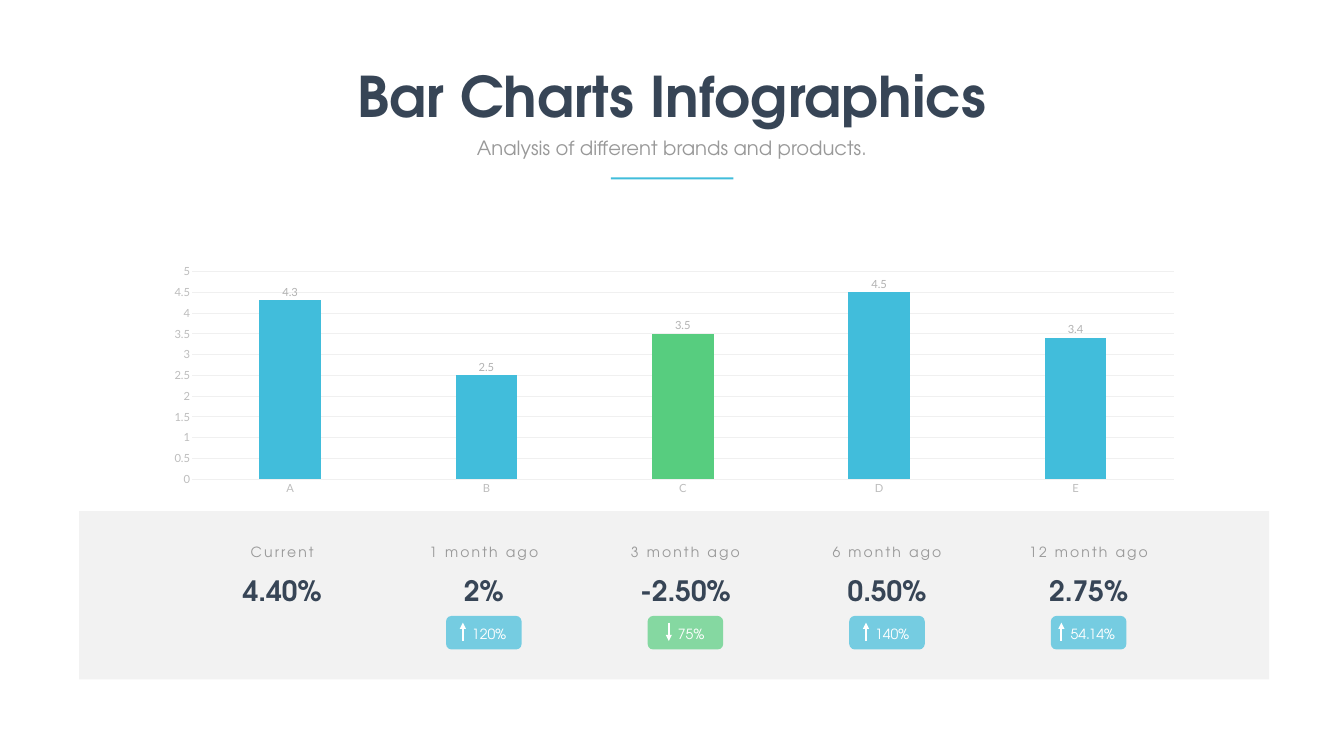
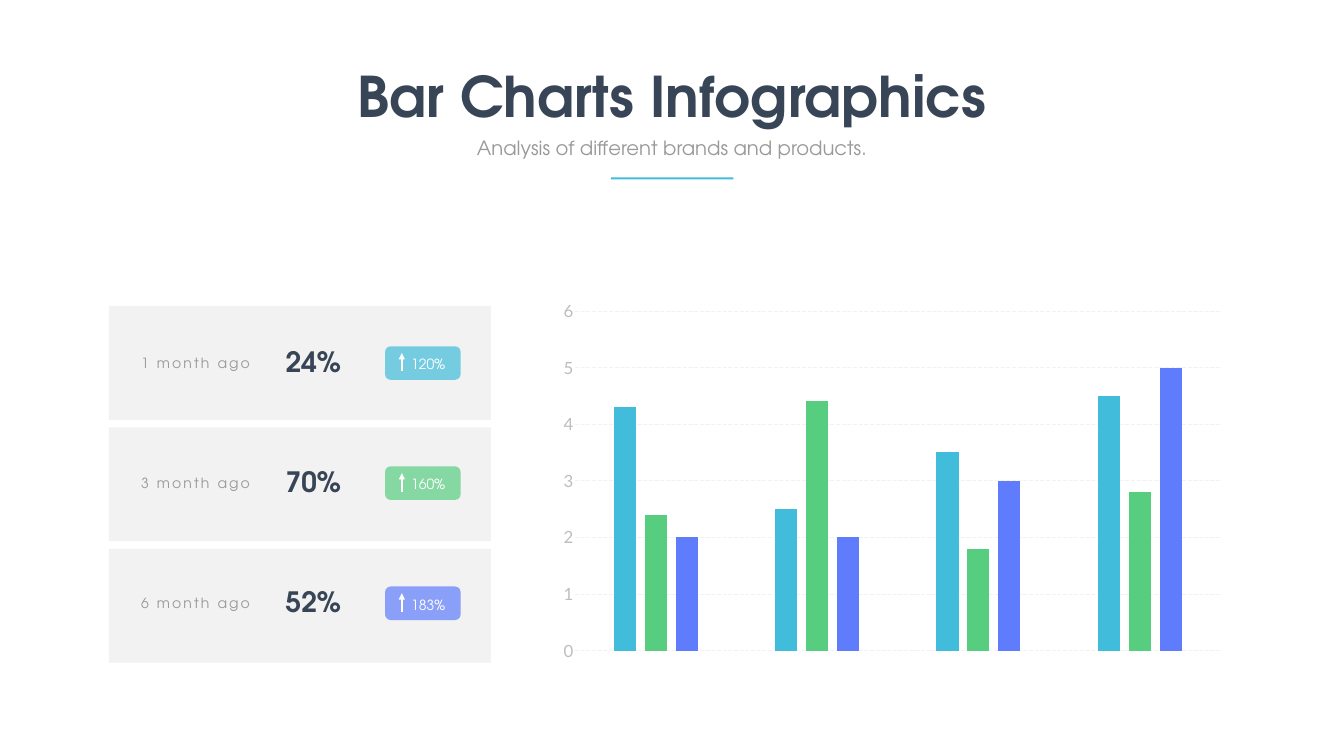
from lxml import etree
from pptx import Presentation
from pptx.chart.data import CategoryChartData
from pptx.dml.color import RGBColor
from pptx.enum.chart import XL_CHART_TYPE, XL_LABEL_POSITION, XL_TICK_MARK
from pptx.enum.dml import MSO_LINE
from pptx.enum.shapes import MSO_CONNECTOR, MSO_SHAPE
from pptx.enum.text import MSO_AUTO_SIZE, PP_ALIGN
from pptx.oxml import parse_xml
from pptx.oxml.ns import nsdecls, qn
from pptx.util import Inches, Pt

COLUMNS = XL_CHART_TYPE.COLUMN_CLUSTERED
OUTSIDE_END = XL_LABEL_POSITION.OUTSIDE_END
NO_TICK = XL_TICK_MARK.NONE
LONG_DASH = MSO_LINE.LONG_DASH
RECT, ROUNDED = MSO_SHAPE.RECTANGLE, MSO_SHAPE.ROUNDED_RECTANGLE
STRAIGHT = MSO_CONNECTOR.STRAIGHT
GROW = MSO_AUTO_SIZE.SHAPE_TO_FIT_TEXT
LEFT, CENTER = PP_ALIGN.LEFT, PP_ALIGN.CENTER

WIDTH, HEIGHT = Inches(26.67), Inches(15)
GRID_COLS, GRID_ROWS = 80, 45
COLORS = {
    "navy": "374556", "gray": "999999", "axis": "BDBDBD", "label": "B2B2B2",
    "panel": "F2F2F2", "rule": "F0F0F0", "white": "FFFFFF",
    "blue": "41BDDB", "green": "57CD7F", "violet": "5E7CFB",
}
TEXT_FONT, CHART_FONT = "TeX Gyre Adventor", "Lato"
BADGE_W, BADGE_H = 4.5, 2
# Arrow inset and text width of a badge, by number of characters
BADGE_FIT = {3: (1.26, 2.34), 4: (1, 2.88), 6: (0.63, 3.57)}


def rgb(name):
    return RGBColor.from_string(COLORS[name])


def style_font(font, size, color, name, bold=False):
    font.size, font.name, font.bold = Pt(size), name, bold
    font.color.rgb = rgb(color)


class Deck:
    """Holds the presentation and draws on its current slide, in grid units."""

    def __init__(self):
        self.prs = Presentation()
        self.prs.slide_width, self.prs.slide_height = WIDTH, HEIGHT
        self.slide = None

    def grid(self, x, y, w, h):
        col, row = WIDTH / GRID_COLS, HEIGHT / GRID_ROWS
        return round(x * col), round(y * row), round(w * col), round(h * row)

    def new_slide(self):
        self.slide = self.prs.slides.add_slide(self.prs.slide_layouts[6])

    def box(self, x, y, w, h, color, kind=RECT, opacity=100, parent=None):
        s = (parent or self.slide).shapes.add_shape(kind, *self.grid(x, y, w, h))
        s.shadow.inherit = False
        s.fill.solid()
        s.fill.fore_color.rgb = rgb(color)
        s.line.fill.background()
        if opacity < 100:
            fill = s.fill._xPr.find(qn("a:solidFill"))
            etree.SubElement(fill[0], qn("a:alpha"), val=str(opacity * 1000))

    def text(self, x, y, w, h, words, size, color, bold=False, align=CENTER,
             spacing=0, wrap=True, parent=None):
        s = (parent or self.slide).shapes.add_textbox(*self.grid(x, y, w, h))
        tf = s.text_frame
        tf.word_wrap, tf.auto_size = wrap, GROW
        p = tf.paragraphs[0]
        p.alignment = align
        r = p.add_run()
        r.text = words
        style_font(r.font, size, color, TEXT_FONT, bold)
        if spacing:
            r.font._element.set("spc", str(spacing * 100))

    def arrow(self, x, start, end, parent):
        left, top, _, bottom = self.grid(x, start, 0, end)
        line = parent.shapes.add_connector(STRAIGHT, left, top, left, bottom)
        line.line.color.rgb = rgb("white")
        line.line.width = Pt(3)
        etree.SubElement(line.line._get_or_add_ln(), qn("a:tailEnd"), type="triangle")
        etree.SubElement(line._element.spPr, qn("a:effectLst"))

    def heading(self):
        self.text(20.76, 3.51, 38.46, 4.35, "Bar Charts Infographics",
                  80, "navy", bold=True, wrap=False)
        self.text(25.65, 7.95, 28.68, 1.71,
                  "Analysis of different brands and products.", 28, "gray")
        self.box(36.36, 10.56, 7.29, 0.12, "blue")

    def period(self, x, y, w, words, align=CENTER):
        self.text(x, y, w, 1.32, words, 20, "gray", align=align, spacing=3)

    def value(self, x, y, w, words, align=CENTER):
        self.text(x, y, w, 2.31, words, 40, "navy", bold=True, align=align)

    def badge(self, x, y, words, color, rising=True):
        """Tinted pill with an arrow and a percentage."""
        inset, width = BADGE_FIT[len(words)]
        group = self.slide.shapes.add_group_shape()
        self.box(x, y, BADGE_W, BADGE_H, color, ROUNDED, 70, group)
        self.text(x + inset + 0.25, y + 0.42, width, 1.32, words, 20, "white",
                  align=LEFT, parent=group)
        low, high = y + 1.5, y + 0.4
        start, end = (low, high) if rising else (high, low)
        self.arrow(x + inset, start, end, group)

    def chart(self, x, y, w, h, categories, series, gap, overlap, top, step,
              size, grid_color):
        """Column chart; series is a list of (values, colour)."""
        data = CategoryChartData()
        data.categories = categories
        for n, (values, _) in enumerate(series, 1):
            data.add_series(f"Series {n}", values)
        chart = self.slide.shapes.add_chart(COLUMNS, *self.grid(x, y, w, h), data).chart
        chart.has_legend = chart.has_title = False
        style_font(chart.font, size, "gray", CHART_FONT)

        plot = chart.plots[0]
        plot.gap_width, plot.overlap, plot.vary_by_categories = gap, overlap, False
        for s, (_, color) in zip(plot.series, series):
            s.format.fill.solid()
            s.format.fill.fore_color.rgb = rgb(color)
            s.invert_if_negative = False

        for axis in (chart.category_axis, chart.value_axis):
            axis.major_tick_mark = axis.minor_tick_mark = NO_TICK
            style_font(axis.tick_labels.font, size, "axis", CHART_FONT)
        axis = chart.value_axis
        axis.minimum_scale, axis.maximum_scale, axis.major_unit = 0, top, step
        axis.format.line.fill.background()
        line = axis.major_gridlines.format.line
        line.color.rgb, line.width = rgb(grid_color), Pt(0.75)
        return chart

    def place_plot(self, chart, x, y, w, h):
        """Fix the inner plot area, in shares of the chart's size."""
        parts = "".join(f'<c:{tag} val="{val}"/>' for tag, val in (
            ("layoutTarget", "inner"), ("xMode", "edge"), ("yMode", "edge"),
            ("x", x), ("y", y), ("w", w), ("h", h)))
        layout = parse_xml(f'<c:layout {nsdecls("c")}><c:manualLayout>{parts}'
                           '</c:manualLayout></c:layout>')
        area = chart._chartSpace.find(".//" + qn("c:plotArea"))
        for old in area.findall(qn("c:layout")):
            area.remove(old)
        area.insert(0, layout)


def brands_slide(deck):
    deck.new_slide()
    deck.box(4.71, 30.42, 70.83, 10.02, "panel")
    columns = [
        ("Current", "4.40%", None),
        ("1 month ago", "2%", ("120%", "blue")),
        ("3 month ago", "-2.50%", ("75%", "green", False)),
        ("6 month ago", "0.50%", ("140%", "blue")),
        ("12 month ago", "2.75%", ("54.14%", "blue")),
    ]
    for i, (period, value, change) in enumerate(columns):
        center = 16.8 + 12 * i
        deck.value(center - 3.87, 34, 7.74, value)
        deck.period(center - 4.38, 32.19, 8.76, period)
        if change:
            deck.badge(center - BADGE_W / 2, 36.66, *change)

    chart = deck.chart(9.15, 15.48, 61.95, 14.22, list("ABCDE"),
                       [([4.3, 2.5, 3.5, 4.5, 3.4], "blue")],
                       gap=219, overlap=-27, top=5, step=0.5,
                       size=16, grid_color="rule")
    line = chart.category_axis.format.line
    line.color.rgb, line.width = rgb("rule"), Pt(0.75)
    bars = chart.plots[0].series[0]
    highlight = bars.points[2].format.fill
    highlight.solid()
    highlight.fore_color.rgb = rgb("green")
    labels = bars.data_labels
    labels.show_value, labels.position = True, OUTSIDE_END
    style_font(labels.font, 16, "label", CHART_FONT)
    deck.heading()


def products_slide(deck):
    deck.new_slide()
    series = [([4.3, 2.5, 3.5, 4.5], "blue"),
              ([2.4, 4.4, 1.8, 2.8], "green"),
              ([2, 2, 3, 5], "violet")]
    chart = deck.chart(31.2, 13.98, 43.62, 30.18, list("1234"), series,
                       gap=350, overlap=-40, top=6, step=1,
                       size=24, grid_color="panel")
    chart.category_axis.visible = False
    chart.value_axis.major_gridlines.format.line.dash_style = LONG_DASH
    deck.place_plot(chart, 0.07, 0.15, 0.88, 0.67)

    cards = [("1 month ago", "24%", "120%", "blue"),
             ("3 month ago", "70%", "160%", "green"),
             ("6 month ago", "52%", "183%", "violet")]
    for i, (period, value, change, color) in enumerate(cards):
        deck.box(6.48, 18.21 + 7.23 * i, 22.74, 6.78, "panel")
        y = 20.37 + 7.15 * i
        deck.value(16.71, y, 4.5, value, LEFT)
        deck.period(8.1, y + 0.58, 7.74, period, LEFT)
        deck.badge(22.92, y + 0.24, change, color)
    deck.heading()


def main():
    deck = Deck()
    brands_slide(deck)
    products_slide(deck)
    deck.prs.save("out.pptx")


if __name__ == "__main__":
    main()
